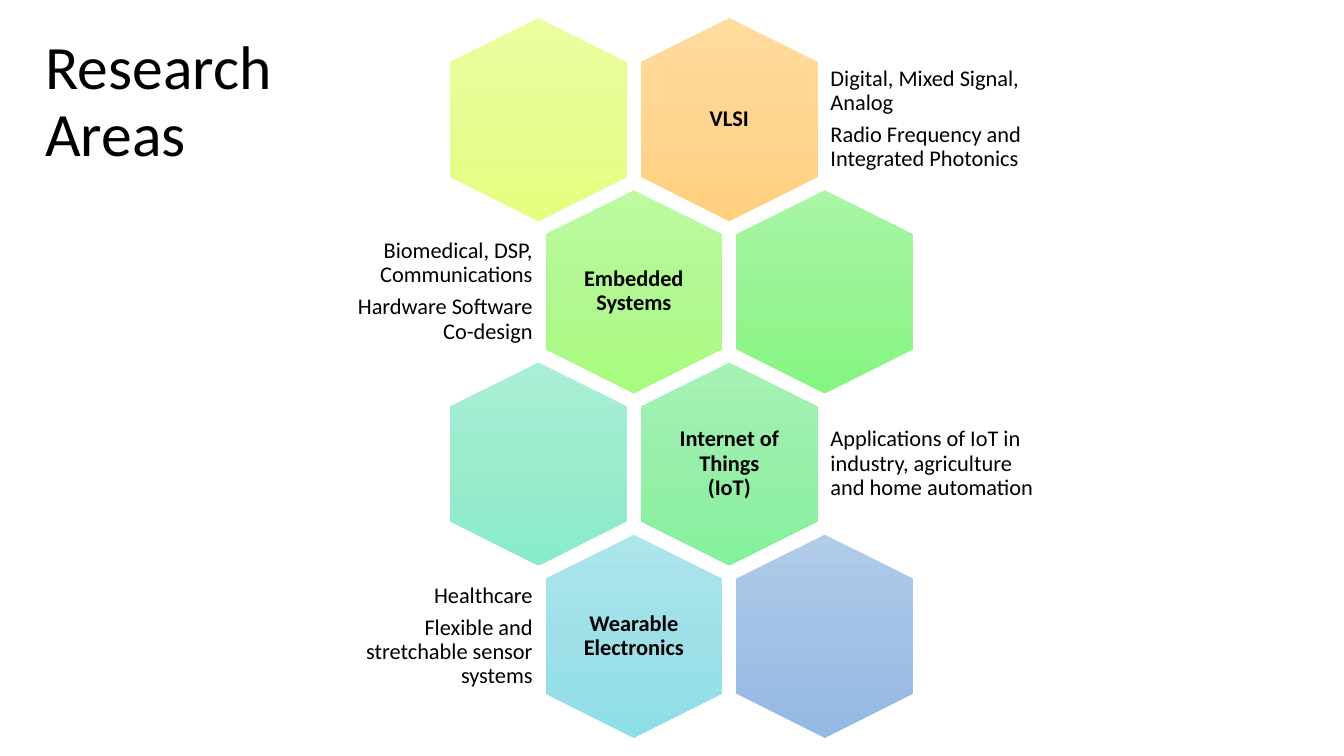
from copy import deepcopy

from pptx import Presentation
from pptx.dml.color import RGBColor
from pptx.enum.shapes import MSO_SHAPE
from pptx.enum.text import MSO_ANCHOR, MSO_AUTO_SIZE, PP_ALIGN
from pptx.oxml.ns import qn
from pptx.util import Cm, Pt

FONT = "Calibri"
COLOURS = {
    "text": "000000",
    "yellow": ("EAFE9F", "E6FC91", "E4FF7D"),
    "orange": ("FFDB9E", "FFD590", "FFD07C"),
    "lime": ("BDFAA1", "B2F892", "A7FC7E"),
    "green": ("A6F6A3", "98F394", "84F680"),
    "aqua": ("A9EFD5", "9BEBCD", "88ECC8"),
    "mint": ("A6F2B6", "97EFA9", "84F19B"),
    "cyan": ("ADE5EC", "9FE0E8", "8DDFE8"),
    "blue": ("B1CBE9", "A3C1E5", "93B9E4"),
}

HEXAGON_LENGTH, HEXAGON_WIDTH = 5.11, 4.45
FIRST_X, FIRST_Y = 13.57, 3.01
COLUMN_STEP, ROW_STEP = 4.81, 4.34
LABEL_WIDTH, LABEL_HEIGHT = 3.05, 3.51
NOTE_WIDTH, NOTE_HEIGHT, NOTE_OFFSET = 5.6, 3.07, 2.38

AREAS = [
    ("VLSI", "yellow", "orange",
     ["Digital, Mixed Signal, Analog", "Radio Frequency and Integrated Photonics"]),
    ("Embedded Systems", "lime", "green",
     ["Biomedical, DSP, Communications", "Hardware Software Co-design"]),
    ("Internet of Things (IoT)", "aqua", "mint",
     ["Applications of IoT in industry, agriculture and home automation"]),
    ("Wearable Electronics", "cyan", "blue",
     ["Healthcare", "Flexible and stretchable sensor systems"]),
]


def write_text(frame, lines, size=16, bold=False, align=PP_ALIGN.LEFT, space_after=5.6):
    frame.word_wrap = True
    frame.auto_size = MSO_AUTO_SIZE.NONE
    frame.vertical_anchor = MSO_ANCHOR.MIDDLE
    for index, line in enumerate(lines):
        para = frame.add_paragraph() if index else frame.paragraphs[0]
        para.alignment = align
        para.line_spacing = 0.9
        para.space_before = Pt(0)
        para.space_after = Pt(space_after)
        span = para.add_run()
        span.text = line
        span.font.name = FONT
        span.font.size = Pt(size)
        span.font.bold = bold
        span.font.color.rgb = RGBColor.from_string(COLOURS["text"])


def add_text(group, left, middle, width, height, lines, **text_format):
    box = group.shapes.add_textbox(Cm(left), Cm(middle - height / 2), Cm(width), Cm(height))
    frame = box.text_frame
    frame.margin_left = frame.margin_right = Cm(0.17)
    frame.margin_top = frame.margin_bottom = Cm(0.17)
    write_text(frame, lines, **text_format)


def fill_gradient(shape, colours):
    shape.fill.gradient()
    shape.fill.gradient_angle = 270
    gradient = shape._element.spPr.find(qn("a:gradFill"))
    gradient.set("rotWithShape", "0")
    stop_list = gradient.find(qn("a:gsLst"))
    stop_list.append(deepcopy(stop_list[-1]))
    for stop, colour, position in zip(shape.fill.gradient_stops, colours, (0, 0.5, 1)):
        stop.color.rgb = RGBColor.from_string(colour)
        stop.position = position


def add_hexagon(group, centre, middle, colour):
    hexagon = group.shapes.add_shape(
        MSO_SHAPE.HEXAGON,
        Cm(centre - HEXAGON_LENGTH / 2), Cm(middle - HEXAGON_WIDTH / 2),
        Cm(HEXAGON_LENGTH), Cm(HEXAGON_WIDTH))
    hexagon.rotation = 90
    hexagon.adjustments[0] = 0.25
    hexagon.adjustments[1] = 1.155
    hexagon.shadow.inherit = False
    hexagon.line.fill.background()
    fill_gradient(hexagon, COLOURS[colour])


def add_area(group, row, name, left_colour, right_colour, notes):
    shifted = row % 2 == 1
    left_centre = FIRST_X + shifted * COLUMN_STEP / 2
    right_centre = left_centre + COLUMN_STEP
    middle = FIRST_Y + row * ROW_STEP
    add_hexagon(group, left_centre, middle, left_colour)
    add_hexagon(group, right_centre, middle, right_colour)
    if shifted:
        centre, align = left_centre, PP_ALIGN.RIGHT
        note_left = centre - NOTE_OFFSET - NOTE_WIDTH
    else:
        centre, align = right_centre, PP_ALIGN.LEFT
        note_left = centre + NOTE_OFFSET
    add_text(group, centre - LABEL_WIDTH / 2, middle, LABEL_WIDTH, LABEL_HEIGHT,
             [name], bold=True, align=PP_ALIGN.CENTER)
    add_text(group, note_left, middle, NOTE_WIDTH, NOTE_HEIGHT, notes, align=align)


def add_title(page, text):
    title = page.shapes.title
    title.left, title.top = Cm(0.89), Cm(0.76)
    title.width, title.height = Cm(6.5), Cm(3.68)
    write_text(title.text_frame, [text], size=44, space_after=0)


def main():
    deck = Presentation()
    deck.slide_width, deck.slide_height = Cm(33.87), Cm(19.05)
    page = deck.slides.add_slide(deck.slide_layouts.get_by_name("Title Only"))
    add_title(page, "Research Areas")
    group = page.shapes.add_group_shape()
    for row, area in enumerate(AREAS):
        add_area(group, row, *area)
    deck.save("out.pptx")


if __name__ == "__main__":
    main()
